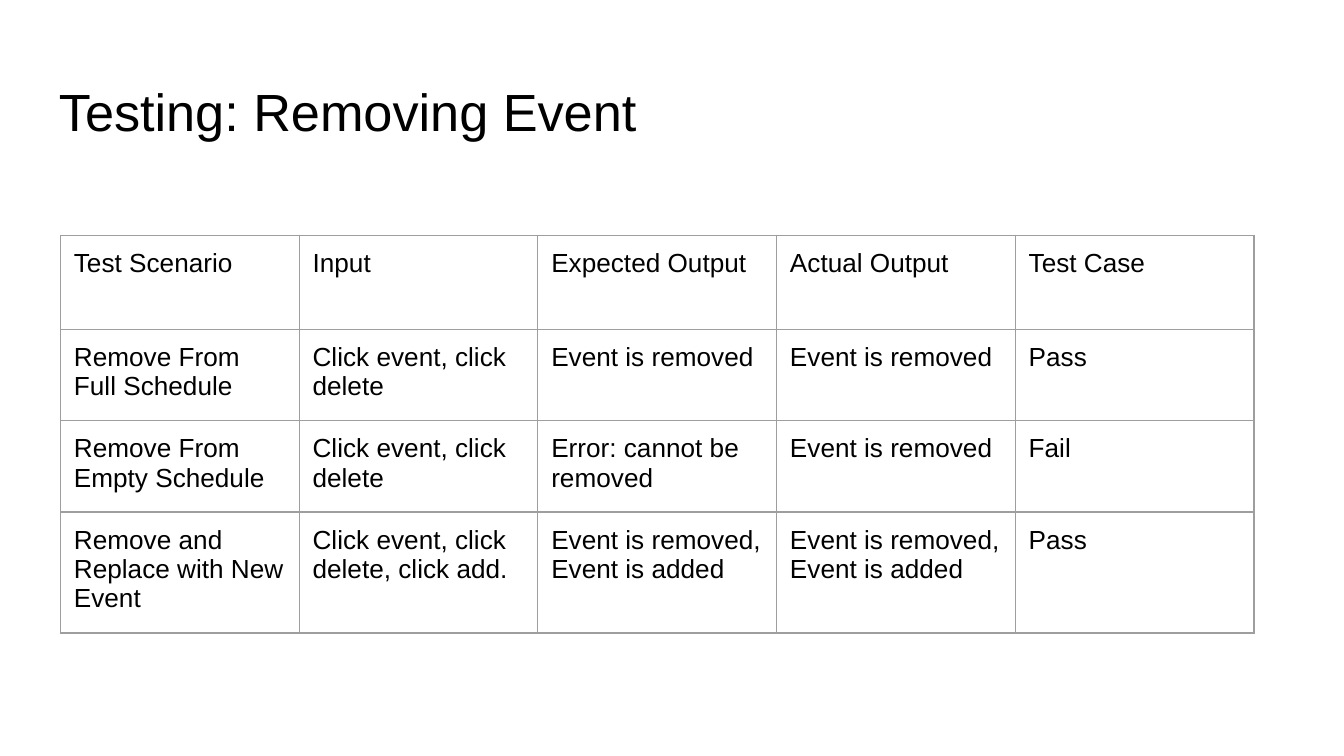
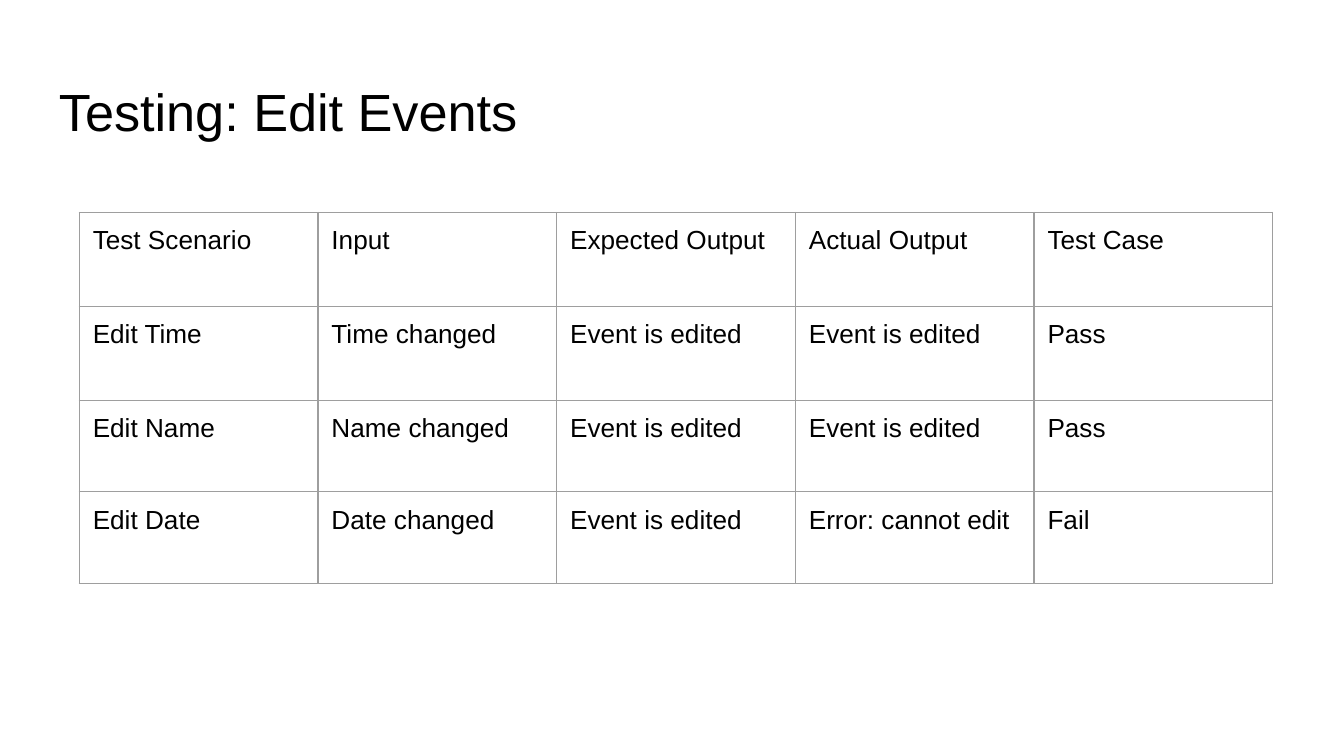
from dataclasses import dataclass

from lxml.etree import SubElement
from pptx import Presentation
from pptx.dml.color import RGBColor
from pptx.oxml.ns import qn
from pptx.slide import Slide
from pptx.table import _Cell
from pptx.util import Inches, Pt

SLIDE_WIDTH = Inches(10)
SLIDE_HEIGHT = SLIDE_WIDTH * 9 // 16
BLACK = RGBColor(0x00, 0x00, 0x00)
GRAY = RGBColor(0x9E, 0x9E, 0x9E)
FONT = "Arial"
TITLE_SIZE = Pt(28)
CELL_SIZE = Pt(14)
BORDER_WIDTH = Pt(0.75)
HEADER = ("Test Scenario", "Input", "Expected Output", "Actual Output", "Test Case")
TABLE_WIDTH = Inches(8.88)
COLUMN_WIDTH = TABLE_WIDTH // len(HEADER)
INSET = Inches(0.1)
MARGINS = {f"margin_{side}": INSET for side in ("left", "top", "right", "bottom")}


@dataclass(frozen=True)
class TestSlide:
    title: str
    left: float
    top: float
    row_heights: tuple[float, ...]
    tests: tuple[tuple[str, ...], ...]


TEST_SLIDES = (
    TestSlide(
        "Testing: Removing Event", 0.45, 1.75, (0.7, 0.68, 0.68, 0.68),
        (
            ("Remove From Full Schedule", "Click event, click delete",
             "Event is removed", "Event is removed", "Pass"),
            ("Remove From Empty Schedule", "Click event, click delete",
             "Error: cannot be removed", "Event is removed", "Fail"),
            ("Remove and Replace with New Event", "Click event, click delete, click add.",
             "Event is removed, Event is added", "Event is removed, Event is added", "Pass"),
        ),
    ),
    TestSlide(
        "Testing: Edit Events", 0.59, 1.58, (0.7, 0.7, 0.68, 0.68),
        (
            ("Edit Time", "Time changed", "Event is edited", "Event is edited", "Pass"),
            ("Edit Name", "Name changed", "Event is edited", "Event is edited", "Pass"),
            ("Edit Date", "Date changed", "Event is edited", "Error: cannot edit", "Fail"),
        ),
    ),
)


def set_attributes(target: object, values: dict) -> None:
    for name, value in values.items():
        setattr(target, name, value)


def write_text(p, text: str, size: Pt) -> None:
    r = p.add_run()
    r.text = text
    set_attributes(r.font, {"name": FONT, "size": size, "bold": False})
    r.font.color.rgb = BLACK


def add_title(s: Slide, text: str) -> None:
    sp = s.shapes.add_textbox(Inches(0.34), Inches(0.49), Inches(9.32), Inches(0.63))
    tf = sp.text_frame
    set_attributes(tf, {"word_wrap": True, **MARGINS})
    write_text(tf.paragraphs[0], text, TITLE_SIZE)


def set_borders(cell: _Cell) -> None:
    """Draw all four edges; the schema wants them ahead of the cell fill."""
    tc_pr = cell._tc.get_or_add_tcPr()
    for i, edge in enumerate(("lnL", "lnR", "lnT", "lnB")):
        ln = SubElement(tc_pr, qn(f"a:{edge}"), w=str(BORDER_WIDTH))
        fill = SubElement(ln, qn("a:solidFill"))
        SubElement(fill, qn("a:srgbClr"), val=str(GRAY))
        tc_pr.insert(i, ln)


def add_test_table(s: Slide, test_slide: TestSlide) -> None:
    rows = (HEADER, *test_slide.tests)
    table = s.shapes.add_table(
        len(rows), len(HEADER), Inches(test_slide.left), Inches(test_slide.top),
        TABLE_WIDTH, Inches(sum(test_slide.row_heights)),
    ).table
    set_attributes(table, {"first_row": False, "horz_banding": False})
    for column in table.columns:
        column.width = COLUMN_WIDTH
    for i, (height, texts) in enumerate(zip(test_slide.row_heights, rows)):
        table.rows[i].height = Inches(height)
        for j, text in enumerate(texts):
            cell = table.cell(i, j)
            set_attributes(cell, MARGINS)
            cell.fill.background()
            set_borders(cell)
            write_text(cell.text_frame.paragraphs[0], text, CELL_SIZE)


def main() -> None:
    prs = Presentation()
    set_attributes(prs, {"slide_width": SLIDE_WIDTH, "slide_height": SLIDE_HEIGHT})
    for test_slide in TEST_SLIDES:
        s = prs.slides.add_slide(prs.slide_layouts[6])
        add_title(s, test_slide.title)
        add_test_table(s, test_slide)
    prs.save("out.pptx")


if __name__ == "__main__":
    main()
